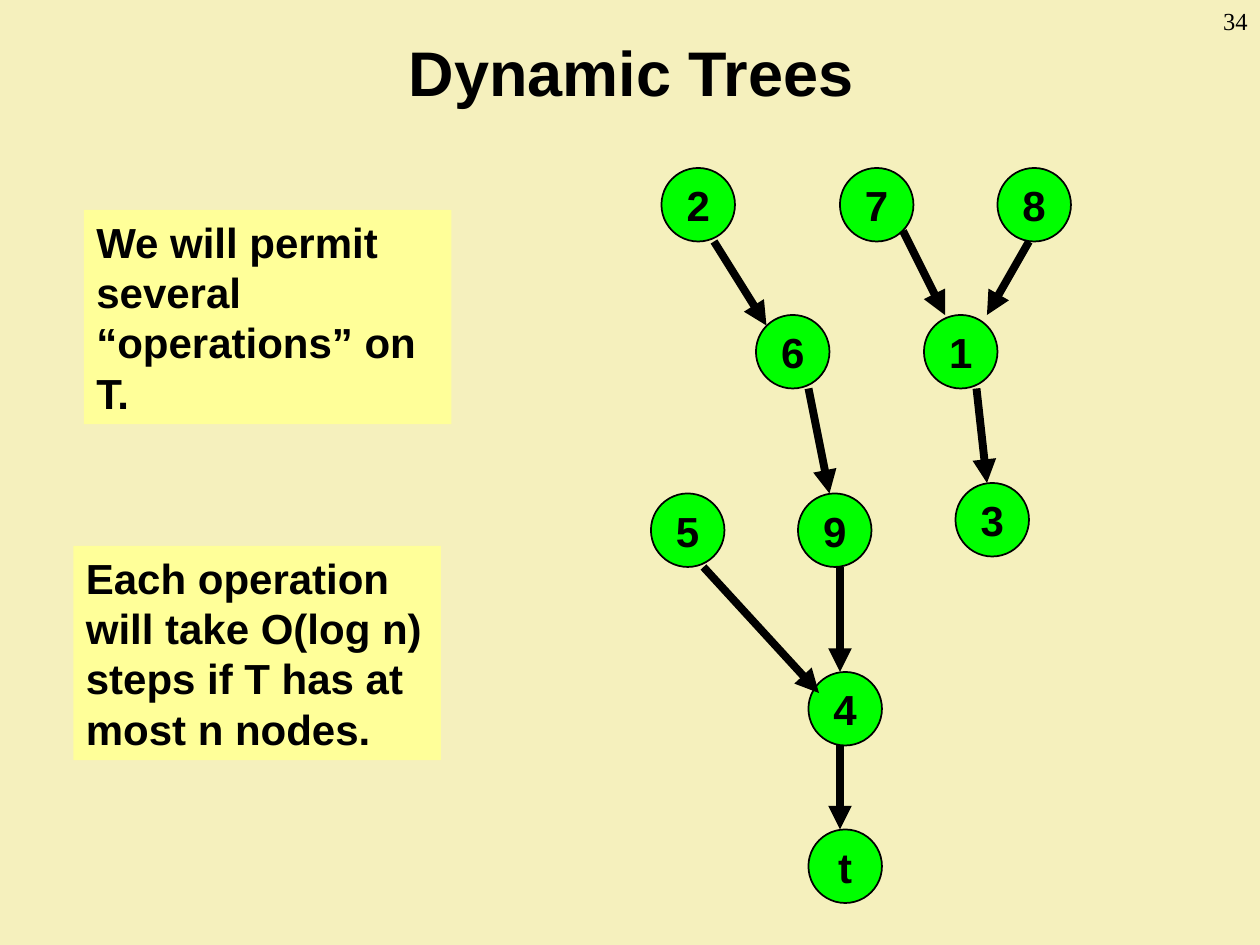
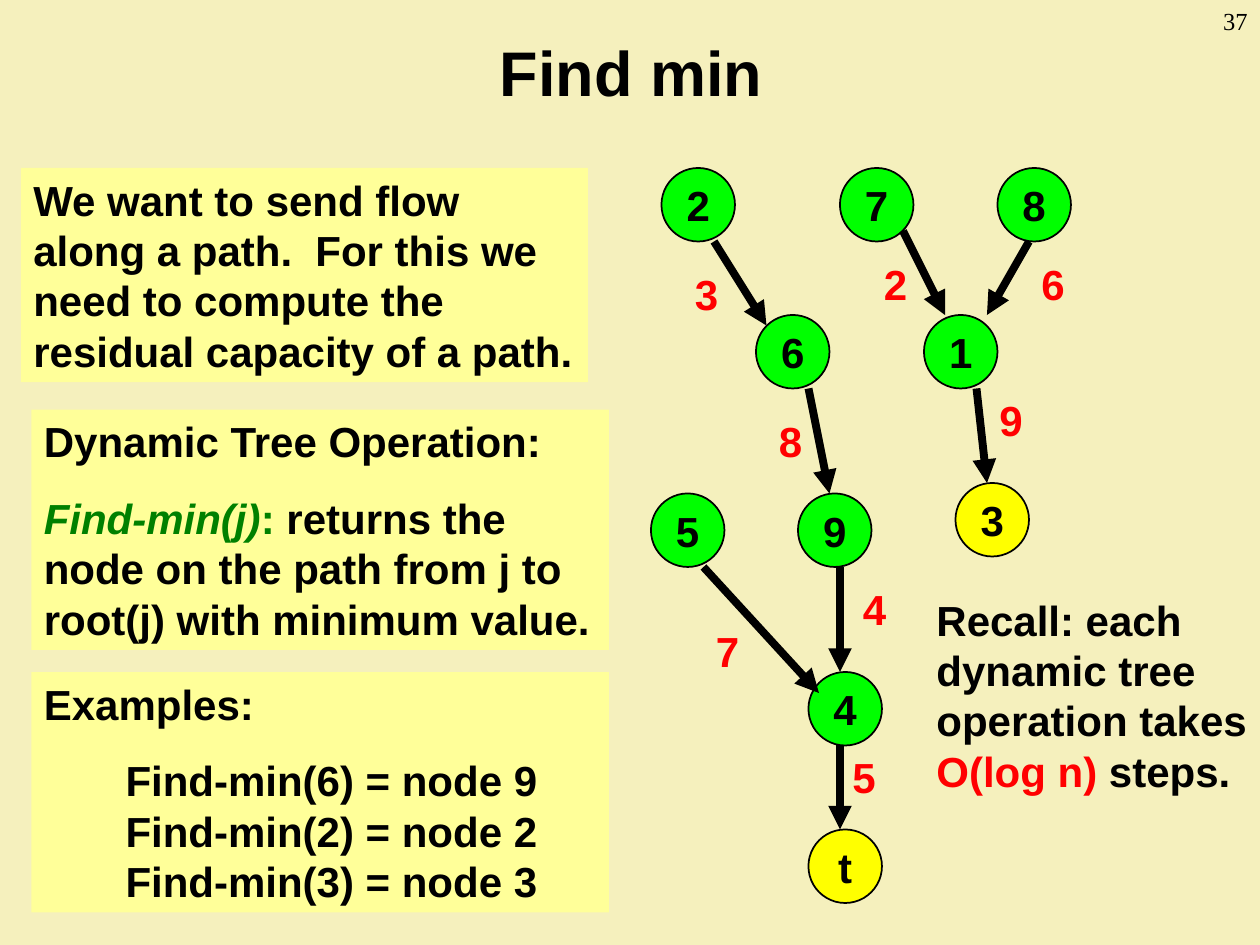
"""Build two slides on dynamic trees: the rooted forest and its find-min operation."""
from lxml import etree
from pptx import Presentation
from pptx.dml.color import RGBColor
from pptx.enum.shapes import MSO_CONNECTOR, MSO_SHAPE
from pptx.enum.text import MSO_ANCHOR, MSO_AUTO_SIZE, PP_ALIGN
from pptx.oxml.ns import qn
from pptx.util import Pt

STRAIGHT = MSO_CONNECTOR.STRAIGHT
OVAL, RECTANGLE = MSO_SHAPE.OVAL, MSO_SHAPE.RECTANGLE
TOP, MIDDLE = MSO_ANCHOR.TOP, MSO_ANCHOR.MIDDLE
LEFT, CENTER, RIGHT = PP_ALIGN.LEFT, PP_ALIGN.CENTER, PP_ALIGN.RIGHT

CREAM = RGBColor(0xF5, 0xF0, 0xBD)
PALE_YELLOW = RGBColor(0xFF, 0xFF, 0x99)
YELLOW = RGBColor(0xFF, 0xFF, 0x00)
GREEN = RGBColor(0x00, 0xFF, 0x00)
DARK_GREEN = RGBColor(0x00, 0x80, 0x00)
RED = RGBColor(0xFF, 0x00, 0x00)
BLACK = RGBColor(0x00, 0x00, 0x00)

TITLE_BOX = (36.7, 9.4, 648, 62.6)
NUMBER_BOX = (660, 0, 60, 36)
NODE_SIZE = 42
LABEL_SIZE = 36
BODY_SIZE = 24
LINE_HEIGHT = 1.2
PARAGRAPH_GAP = 15
EXAMPLE_INDENT = 46.7

NODES = {
    "1": (528, 180), "2": (378, 96), "6": (432, 180), "7": (480, 96),
    "9": (456, 282), "4": (462, 384), "3": (546, 276), "5": (372, 282),
    "t": (462, 474), "8": (570, 96),
}
ARROWS = [
    (408, 138, 438, 186),
    (516, 132, 540, 180),
    (588, 138, 564, 180),
    (558, 222, 564, 276),
    (462, 222, 474, 282),
    (480, 324, 480, 384),
    (402, 324, 468, 396),
    (480, 426, 480, 474),
]
CAPACITIES = [
    ("3", 390, 150), ("2", 498, 144), ("6", 588, 144), ("9", 564, 222),
    ("8", 438, 234), ("4", 486, 330), ("7", 402, 354), ("5", 480, 426),
]


def para(*runs, gap=0, indent=0):
    """Describe a paragraph; each run is a text or a (text, colour, italic) tuple."""
    full_runs = [(run, BLACK, False) if isinstance(run, str) else run for run in runs]
    return full_runs, gap, indent


SLIDES = [
    {
        "title": "Dynamic Trees",
        "number": "34",
        "roots": "",
        "capacities": [],
        "panels": [
            ((48, 120, 210, 122.4), PALE_YELLOW,
             [para("We will permit several “operations” on T.")]),
            ((42, 312, 210, 122.4), PALE_YELLOW,
             [para("Each operation will take O(log n) steps if T has at most n nodes.")]),
        ],
    },
    {
        "title": "Find min",
        "number": "37",
        "roots": "3t",
        "capacities": CAPACITIES,
        "panels": [
            ((12, 96, 324, 122.4), PALE_YELLOW,
             [para("We want to send flow along a path.  For this we need to compute "
                   "the residual capacity of a path.")]),
            ((18, 234, 330, 137.4), PALE_YELLOW,
             [para("Dynamic Tree Operation:"),
              para(("Find-min(j)", DARK_GREEN, True), (": ", DARK_GREEN, False),
                   "returns the node on the path from j to root(j) with minimum value.",
                   gap=PARAGRAPH_GAP)]),
            ((18, 384, 330, 137.4), PALE_YELLOW,
             [para("Examples:"),
              para("Find-min(6) = node 9", gap=PARAGRAPH_GAP, indent=EXAMPLE_INDENT),
              para("Find-min(2) = node 2", indent=EXAMPLE_INDENT),
              para("Find-min(3) = node 3", indent=EXAMPLE_INDENT)]),
            ((528, 336, 192, 122.4), None,
             [para("Recall: each dynamic tree operation takes ",
                   ("O(log n)", RED, False), " steps.")]),
        ],
    },
]


def points(*lengths):
    """Turn plain numbers into lengths in points."""
    return [Pt(length) for length in lengths]


def write(shape, paragraphs, size=BODY_SIZE, font="Arial", bold=True,
          align=LEFT, anchor=TOP, wrap=True):
    """Fill a shape with formatted paragraphs."""
    frame = shape.text_frame
    frame.auto_size = MSO_AUTO_SIZE.NONE
    frame.word_wrap = wrap
    frame.vertical_anchor = anchor
    for index, (runs, gap, indent) in enumerate(paragraphs):
        paragraph = frame.add_paragraph() if index else frame.paragraphs[0]
        paragraph.alignment = align
        paragraph.line_spacing = Pt(size * LINE_HEIGHT)
        paragraph.space_before = Pt(gap)
        if indent:
            paragraph._p.get_or_add_pPr().set("marL", str(Pt(indent)))
        paragraph.font.size = Pt(size)
        paragraph.font.name = font
        paragraph.font.bold = bold
        for text, colour, italic in runs:
            run = paragraph.add_run()
            run.text = text
            run.font.color.rgb = colour
            if italic:
                run.font.italic = True


def add_filled(slide, preset, box, fill):
    """Add a flat preset shape without an outline."""
    shape = slide.shapes.add_shape(preset, *points(*box))
    shape.shadow.inherit = False
    shape.fill.solid()
    shape.fill.fore_color.rgb = fill
    shape.line.fill.background()
    return shape


def add_node(slide, name, left, top, fill):
    """Add one named tree node."""
    node = add_filled(slide, OVAL, (left, top, NODE_SIZE, NODE_SIZE), fill)
    node.line.color.rgb = BLACK
    node.line.width = Pt(1)
    write(node, [para(name)], align=CENTER, anchor=MIDDLE, wrap=False)


def add_arrow(slide, ends):
    """Add an arrow from a node to its parent."""
    arrow = slide.shapes.add_connector(STRAIGHT, *points(*ends))
    arrow.line.color.rgb = BLACK
    arrow.line.width = Pt(4.5)
    etree.SubElement(arrow.line._get_or_add_ln(), qn("a:tailEnd"), type="triangle")
    etree.SubElement(arrow._element.spPr, qn("a:effectLst"))


def add_panel(slide, box, fill, paragraphs):
    """Add a block of explanation, on a fill if one is given."""
    if fill is None:
        panel = slide.shapes.add_textbox(*points(*box))
    else:
        panel = add_filled(slide, RECTANGLE, box, fill)
    write(panel, paragraphs)


def build_slide(prs, content):
    """Add one slide with its title, tree, panels and number."""
    slide = prs.slides.add_slide(prs.slide_layouts[5])
    title = slide.shapes.title
    title.left, title.top, title.width, title.height = points(*TITLE_BOX)
    write(title, [para(content["title"])], size=36, align=CENTER, anchor=MIDDLE)

    for name, (left, top) in NODES.items():
        add_node(slide, name, left, top, YELLOW if name in content["roots"] else GREEN)
    for ends in ARROWS:
        add_arrow(slide, ends)
    for panel in content["panels"]:
        add_panel(slide, *panel)
    for capacity, left, top in content["capacities"]:
        add_panel(slide, (left, top, LABEL_SIZE, LABEL_SIZE), None,
                  [para((capacity, RED, False))])

    number = slide.shapes.add_textbox(*points(*NUMBER_BOX))
    write(number, [para(content["number"])], size=14, font="Times New Roman",
          bold=False, align=RIGHT)


def main():
    """Build and save the presentation."""
    prs = Presentation()
    prs.slide_width, prs.slide_height = points(720, 540)
    background = prs.slide_master.background.fill
    background.solid()
    background.fore_color.rgb = CREAM
    for content in SLIDES:
        build_slide(prs, content)
    prs.save("out.pptx")


if __name__ == "__main__":
    main()
